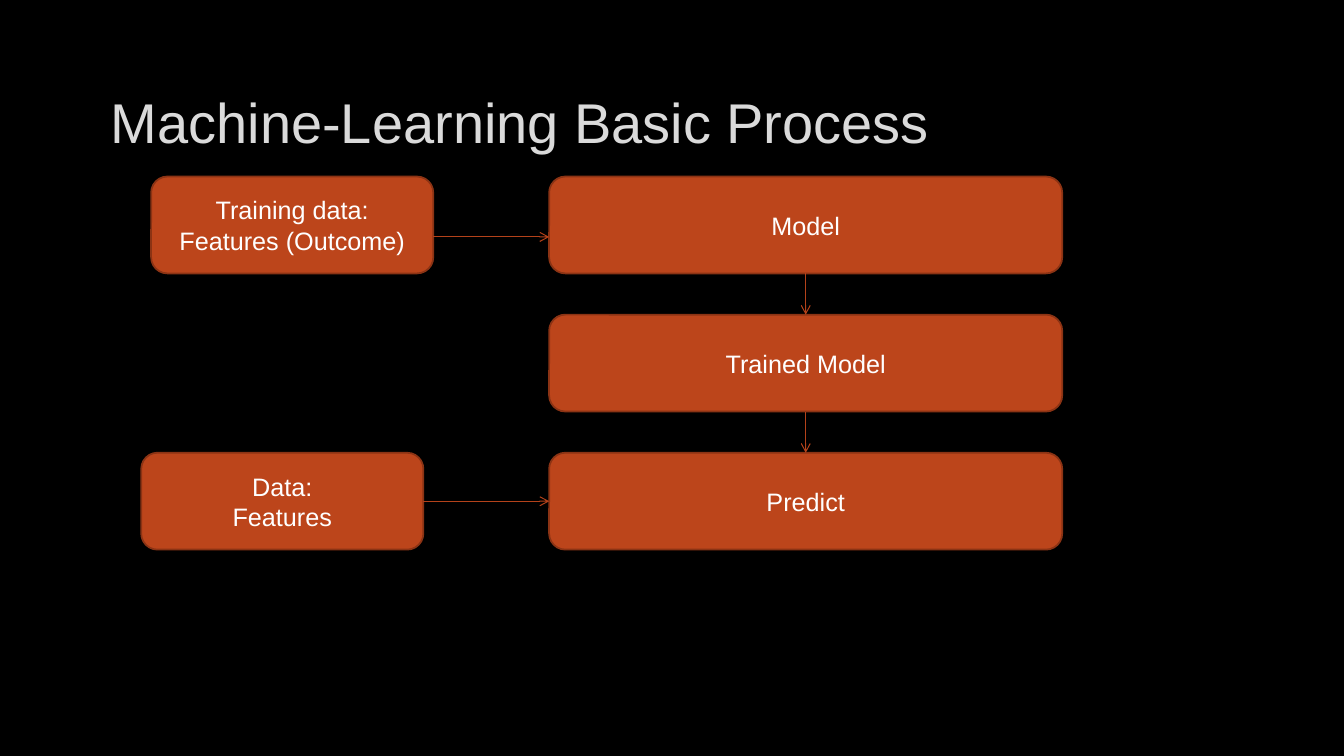
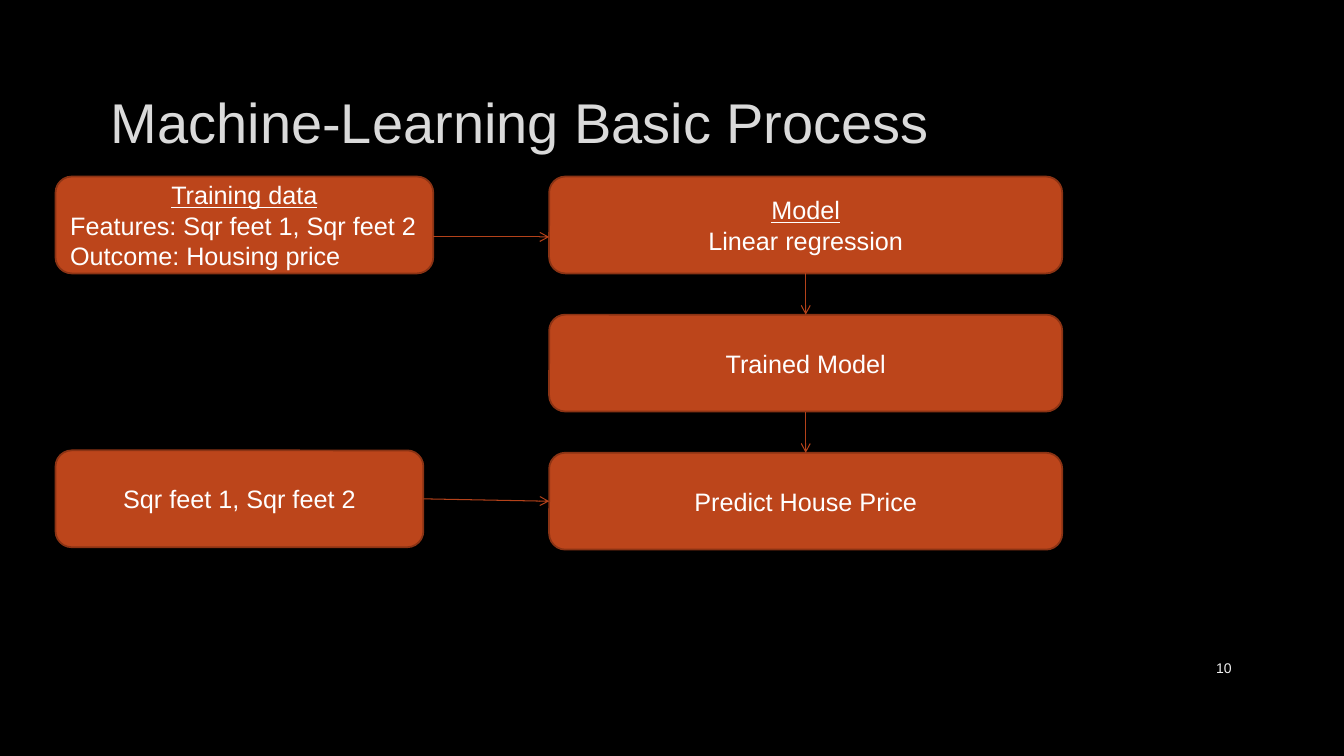
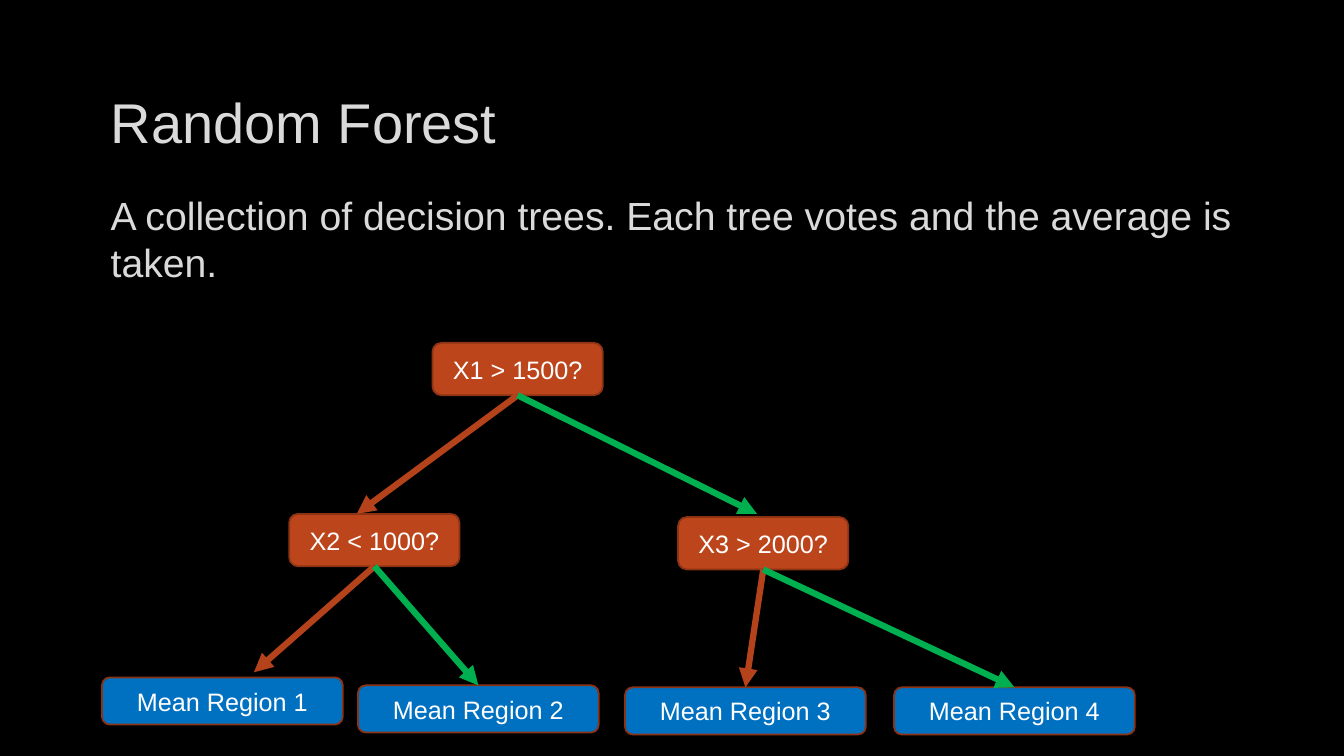
from dataclasses import dataclass

from lxml import etree
from pptx import Presentation
from pptx.dml.color import RGBColor
from pptx.enum.shapes import MSO_CONNECTOR, MSO_SHAPE
from pptx.enum.text import MSO_ANCHOR, MSO_AUTO_SIZE, PP_ALIGN
from pptx.oxml.ns import qn
from pptx.util import Cm, Pt

STRAIGHT = MSO_CONNECTOR.STRAIGHT
ROUNDED = MSO_SHAPE.ROUNDED_RECTANGLE
LEFT, CENTER, RIGHT = PP_ALIGN.LEFT, PP_ALIGN.CENTER, PP_ALIGN.RIGHT
TOP, MIDDLE = MSO_ANCHOR.TOP, MSO_ANCHOR.MIDDLE
NO_AUTOFIT = MSO_AUTO_SIZE.NONE
TOP_SIDE, LEFT_SIDE, BOTTOM_SIDE, RIGHT_SIDE = range(4)
TITLE_ONLY = 5


@dataclass(frozen=True)
class Theme:
    font: str = "Arial"
    background: str = "000000"
    heading: str = "DADADA"
    label: str = "FFFFFF"
    page: str = "F2F2F2"
    box: str = "BC451B"
    border: str = "8B3314"
    arrow: str = "B4421A"
    yes: str = "00B050"
    leaf: str = "0070C0"
    title_size: float = 40
    body_size: float = 28
    label_size: float = 18
    page_size: float = 10
    border_width: float = 1.25
    thin: float = 0.75
    thick: float = 4.5


@dataclass(frozen=True)
class Line:
    text: str
    align: PP_ALIGN = CENTER
    underline: bool = False


THEME = Theme()
TITLE_AREA = (2.54, 1.7, 28.75, 2.69)
BODY_AREA = (2.54, 4.7, 28.75, 11.28)
PAGE_AREA = (29.21, 16.33, 2.08, 1.02)

STAGE_LEFT, STAGE_WIDTH = 13.84, 12.93
FLOW_TOP, FLOW_HEIGHT, FLOW_PITCH = 4.45, 2.44, 3.48
TRAINING_RIGHT, DATA_RIGHT = 10.92, 10.67
TRAINING_ARROW_Y = 5.97
QUESTION_SIZE = (4.29, 1.32)
REGION_SIZE = (6.07, 1.19)


def rgb(value):
    return RGBColor.from_string(value)


def lengths(values):
    return [Cm(value) for value in values]


def write_text(frame, lines, size=THEME.label_size, color=THEME.label,
               align=CENTER, anchor=MIDDLE, before=0):
    frame.word_wrap = True
    frame.auto_size = NO_AUTOFIT
    frame.vertical_anchor = anchor
    for index, line in enumerate(lines):
        if isinstance(line, str):
            line = Line(line, align)
        paragraph = frame.paragraphs[0] if index == 0 else frame.add_paragraph()
        paragraph.alignment = line.align
        paragraph.space_before = Pt(before)
        run = paragraph.add_run()
        run.text = line.text
        run.font.name = THEME.font
        run.font.size = Pt(size)
        run.font.color.rgb = rgb(color)
        run.font.underline = line.underline


def add_titled_slide(deck, heading):
    slide = deck.slides.add_slide(deck.slide_layouts[TITLE_ONLY])
    title = slide.shapes.title
    title.left, title.top, title.width, title.height = lengths(TITLE_AREA)
    write_text(title.text_frame, [heading], size=THEME.title_size,
               color=THEME.heading, align=LEFT)
    return slide


def add_text(slide, area, text, **text_format):
    area_box = slide.shapes.add_textbox(*lengths(area))
    write_text(area_box.text_frame, [text], **text_format)


def add_box(slide, area, lines, fill=THEME.box):
    box = slide.shapes.add_shape(ROUNDED, *lengths(area))
    box.shadow.inherit = False
    box.fill.solid()
    box.fill.fore_color.rgb = rgb(fill)
    box.line.color.rgb = rgb(THEME.border)
    box.line.width = Pt(THEME.border_width)
    write_text(box.text_frame, lines)
    return box


def add_arrow(slide, start, end, color=THEME.arrow, width=THEME.thin, head="arrow"):
    """Each end is an (x, y) point in cm or a (box, side) pair."""
    joined = [not isinstance(place[0], (int, float)) for place in (start, end)]
    begin_point = (0, 0) if joined[0] else start
    end_point = (0, 0) if joined[1] else end
    arrow = slide.shapes.add_connector(STRAIGHT, *lengths(begin_point + end_point))
    if joined[0]:
        arrow.begin_connect(*start)
    if joined[1]:
        arrow.end_connect(*end)
    arrow.line.color.rgb = rgb(color)
    arrow.line.width = Pt(width)
    properties = arrow.element.spPr
    etree.SubElement(properties.find(qn("a:ln")), qn("a:tailEnd"), type=head)
    etree.SubElement(properties, qn("a:effectLst"))


def build_process(deck, training, training_left, data, data_left, data_top, stages):
    slide = add_titled_slide(deck, "Machine-Learning Basic Process")
    add_box(slide, (training_left, FLOW_TOP, TRAINING_RIGHT - training_left,
                    FLOW_HEIGHT), training)
    data_box = add_box(slide, (data_left, data_top, DATA_RIGHT - data_left,
                               FLOW_HEIGHT), data)
    stage_boxes = [
        add_box(slide, (STAGE_LEFT, FLOW_TOP + row * FLOW_PITCH,
                        STAGE_WIDTH, FLOW_HEIGHT), lines)
        for row, lines in enumerate(stages)
    ]
    add_arrow(slide, (TRAINING_RIGHT, TRAINING_ARROW_Y),
              (STAGE_LEFT, TRAINING_ARROW_Y))
    for upper, lower in zip(stage_boxes, stage_boxes[1:]):
        add_arrow(slide, (upper, BOTTOM_SIDE), (lower, TOP_SIDE))
    add_arrow(slide, (data_box, RIGHT_SIDE), (stage_boxes[-1], LEFT_SIDE))
    return slide


def build_forest(deck):
    slide = add_titled_slide(deck, "Random Forest")
    add_text(slide, BODY_AREA,
             "A collection of decision trees. Each tree votes and the average is taken.",
             size=THEME.body_size, color=THEME.heading, align=LEFT,
             anchor=TOP, before=4)

    root, low, high = [
        add_box(slide, place + QUESTION_SIZE, [question])
        for question, place in (
            ("X1 > 1500?", (10.9, 8.64)),
            ("X2 < 1000?", (7.29, 12.95)),
            ("X3 > 2000?", (17.09, 13.03)),
        )
    ]
    region_places = ((2.57, 17.07), (9.02, 17.27), (15.75, 17.32), (22.53, 17.32))
    regions = [
        add_box(slide, place + REGION_SIZE, [f"Mean Region {number}"], fill=THEME.leaf)
        for number, place in enumerate(region_places, 1)
    ]
    branches = (
        (root, (8.99, 12.95), (19.08, 12.95)),
        (low, (6.4, 16.94), (regions[1], TOP_SIDE)),
        (high, (regions[2], TOP_SIDE), (regions[3], TOP_SIDE)),
    )
    for question, no_end, yes_end in branches:
        for end, color in ((no_end, THEME.arrow), (yes_end, THEME.yes)):
            add_arrow(slide, (question, BOTTOM_SIDE), end, color=color,
                      width=THEME.thick, head="triangle")


def main():
    deck = Presentation()
    deck.slide_width, deck.slide_height = Cm(33.87), Cm(19.05)
    backdrop = deck.slide_master.background.fill
    backdrop.solid()
    backdrop.fore_color.rgb = rgb(THEME.background)

    build_process(
        deck,
        training=["Training data:", "Features (Outcome)"], training_left=3.81,
        data=["Data:", "Features"], data_left=3.56,
        data_top=FLOW_TOP + 2 * FLOW_PITCH,
        stages=[["Model"], ["Trained Model"], ["Predict"]],
    )
    example = build_process(
        deck,
        training=[Line("Training data", underline=True),
                  Line("Features: Sqr feet 1, Sqr feet 2", LEFT),
                  Line("Outcome: Housing price", LEFT)], training_left=1.4,
        data=["Sqr feet 1, Sqr feet 2"], data_left=1.4, data_top=11.35,
        stages=[[Line("Model", underline=True), "Linear regression"],
                ["Trained Model"], ["Predict House Price"]],
    )
    add_text(example, PAGE_AREA, "10", size=THEME.page_size,
             color=THEME.page, align=RIGHT)
    build_forest(deck)
    deck.save("out.pptx")


if __name__ == "__main__":
    main()
